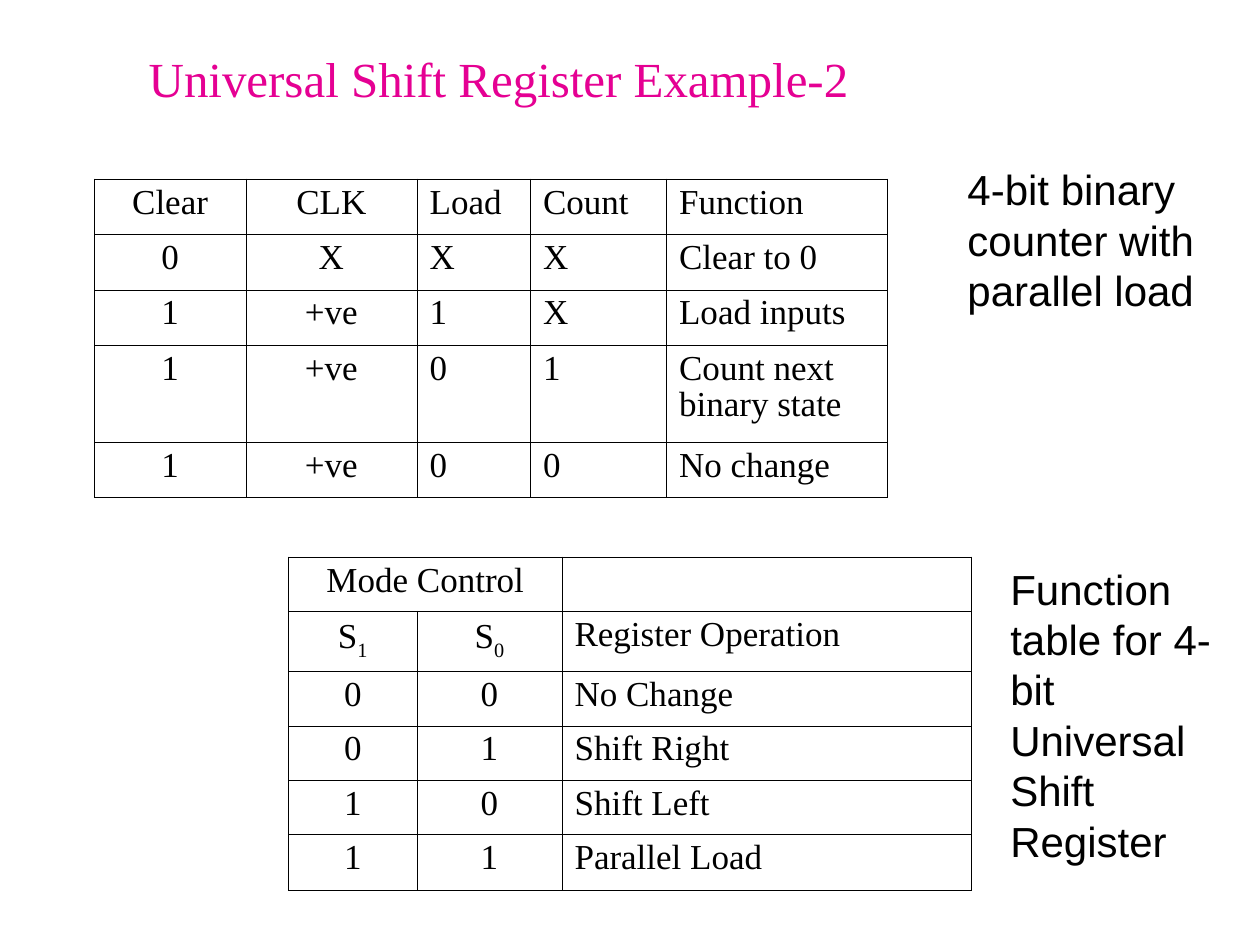
from dataclasses import dataclass

from lxml.etree import SubElement as sub_element
from pptx import Presentation
from pptx.dml.color import RGBColor as Rgb
from pptx.enum.text import MSO_ANCHOR as Anchor, MSO_AUTO_SIZE as AutoSize, PP_ALIGN as Align
from pptx.oxml.ns import qn
from pptx.util import Inches, Pt


@dataclass(frozen=True)
class Theme:
    serif: str = "Times New Roman"
    sans: str = "Arial"
    accent: str = "E50093"
    ink: str = "000000"
    title_size: int = 28
    caption_size: int = 24
    cell_size: int = 20
    inner_line: float = 0.23
    outer_line: float = 0.51


THEME = Theme()

COUNTER_ROWS = [
    ["Clear", "CLK", "Load", "Count", "Function"],
    ["0", "X", "X", "X", "Clear to 0"],
    ["1", "+ve", "1", "X", "Load inputs"],
    ["1", "+ve", "0", "1", "Count next binary state"],
    ["1", "+ve", "0", "0", "No change"],
]
MODE_ROWS = [
    ["Mode Control", "", ""],
    ["S_1", "S_0", "Register Operation"],
    ["0", "0", "No Change"],
    ["0", "1", "Shift Right"],
    ["1", "0", "Shift Left"],
    ["1", "1", "Parallel Load"],
]


def style(paragraph, family, size, color, before, align=Align.LEFT):
    paragraph.font.name = family
    paragraph.font.size = Pt(size)
    paragraph.font.bold = False
    paragraph.font.color.rgb = Rgb.from_string(color)
    paragraph.alignment = align
    paragraph.space_before = Pt(before)
    paragraph.space_after = Pt(0.1)


def set_title(slide, text, box):
    title = slide.shapes.title
    title.left, title.top, title.width, title.height = map(Inches, box)
    frame = title.text_frame
    frame.text = text
    frame.auto_size = AutoSize.NONE
    frame.vertical_anchor = Anchor.MIDDLE
    style(frame.paragraphs[0], THEME.serif, THEME.title_size, THEME.accent, 0.1)


def add_caption(slide, text, box):
    frame = slide.shapes.add_textbox(*map(Inches, box)).text_frame
    frame.word_wrap = True
    frame.auto_size = AutoSize.SHAPE_TO_FIT_TEXT
    frame.text = text
    style(frame.paragraphs[0], THEME.sans, THEME.caption_size, THEME.ink, 15.1)


def set_borders(cell, outer_sides):
    properties = cell._tc.get_or_add_tcPr()
    for side in "LRTB":
        width = THEME.outer_line if side in outer_sides else THEME.inner_line
        line = sub_element(properties, qn(f"a:ln{side}"), w=str(Pt(width)))
        fill = sub_element(line, qn("a:solidFill"))
        sub_element(fill, qn("a:srgbClr"), val=THEME.ink)


def fill_cell(cell, text, align):
    paragraph = cell.text_frame.paragraphs[0]
    base, _, subscript = text.partition("_")
    if base:
        paragraph.add_run().text = base
    if subscript:
        index = paragraph.add_run()
        index.text = subscript
        index._r.get_or_add_rPr().set("baseline", "-25000")
    style(paragraph, THEME.serif, THEME.cell_size, THEME.ink, 5.1, align)
    paragraph.line_spacing = 0.93


def add_grid(slide, rows, origin, widths, heights, centered=2):
    size = sum(widths), sum(heights)
    table = slide.shapes.add_table(
        len(rows), len(widths), *map(Inches, (*origin, *size))
    ).table
    table.first_row = table.horz_banding = False
    for column, width in zip(table.columns, widths):
        column.width = Inches(width)
    for row, height in zip(table.rows, heights):
        row.height = Inches(height)
    for r, texts in enumerate(rows):
        for c, text in enumerate(texts):
            cell = table.cell(r, c)
            edges = {"L": c == 0, "R": c == len(widths) - 1,
                     "T": r == 0, "B": r == len(rows) - 1}
            set_borders(cell, [side for side, outer in edges.items() if outer])
            cell.fill.background()
            cell.margin_left = cell.margin_right = Inches(0.1)
            cell.margin_top = cell.margin_bottom = Inches(0.05)
            fill_cell(cell, text, Align.CENTER if c < centered else Align.LEFT)
    return table


def main():
    deck = Presentation()
    deck.slide_width, deck.slide_height = Inches(10), Inches(7.5)
    slide = deck.slides.add_slide(deck.slide_layouts[5])

    set_title(slide, "Universal Shift Register Example-2", (1.08, 0.33, 8.07, 0.58))
    modes = add_grid(slide, MODE_ROWS, (2.29, 4.42), [1.02, 1.15, 3.25],
                     [0.43, 0.48, 0.43, 0.43, 0.43, 0.45])
    modes.cell(0, 0).merge(modes.cell(0, 1))
    add_grid(slide, COUNTER_ROWS, (0.75, 1.42), [1.2, 1.36, 0.9, 1.08, 1.75],
             [0.44, 0.44, 0.44, 0.77, 0.44])
    add_caption(slide, "Function table for 4-bit Universal Shift Register",
                (7.92, 4.42, 1.83, 2.5))
    add_caption(slide, "4-bit binary counter with parallel load",
                (7.58, 1.25, 2.08, 1.3))

    deck.save("out.pptx")


main()
